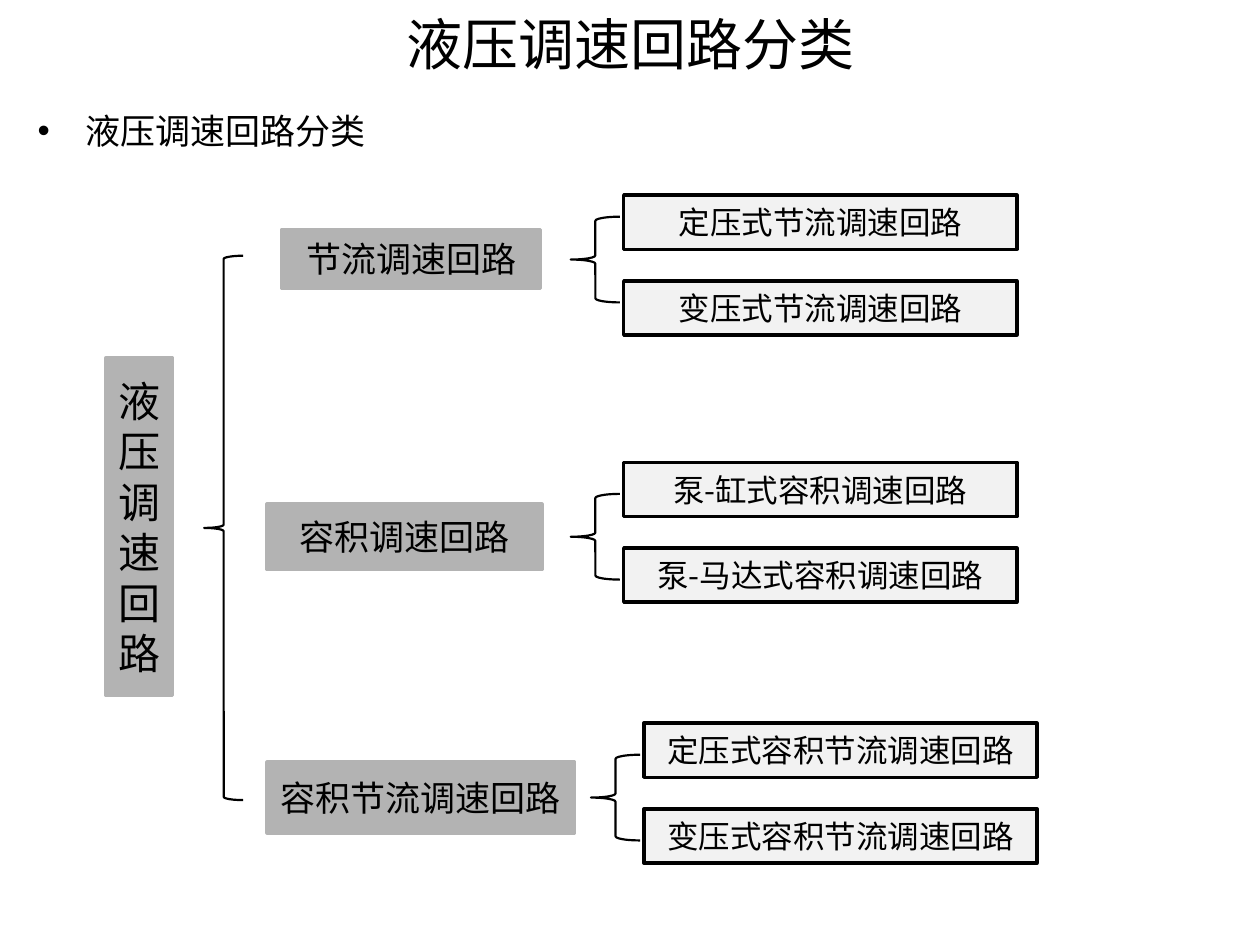
from lxml.etree import SubElement
from pptx import Presentation
from pptx.dml.color import RGBColor
from pptx.enum.shapes import MSO_SHAPE
from pptx.enum.text import MSO_ANCHOR, MSO_AUTO_SIZE, PP_ALIGN
from pptx.oxml.ns import qn
from pptx.util import Inches, Pt

FONT = "Noto Sans CJK SC"
COLORS = {"text": "000000", "group": "B3B3B3", "leaf": "F2F2F2", "line": "000000"}
LEAF_WIDTH, LEAF_HEIGHT, LEAF_PITCH = 3.12, 0.43, 0.68
BRACE_WIDTH, BRACE_OFFSET = 0.39, 0.42
BRANCHES = [
    ("节流调速回路", (2.24, 1.82, 2.05, 0.47), (4.95, 1.55), 1.72,
     ("定压式节流调速回路", "变压式节流调速回路")),
    ("容积调速回路", (2.12, 4, 2.18, 0.52), (4.95, 3.67), 3.92,
     ("泵-缸式容积调速回路", "泵-马达式容积调速回路")),
    ("容积节流调速回路", (2.12, 6.05, 2.44, 0.56), (5.11, 5.74), 5.99,
     ("定压式容积节流调速回路", "变压式容积节流调速回路")),
]


def color(name):
    """Return the named colour."""
    return RGBColor.from_string(COLORS[name])


def write_text(shape, text, size, alignment=PP_ALIGN.CENTER):
    """Write one styled paragraph into a shape and return it."""
    paragraph = shape.text_frame.paragraphs[0]
    paragraph.text = text
    paragraph.alignment = alignment
    paragraph.font.size = Pt(size)
    paragraph.font.name = FONT
    paragraph.font.color.rgb = color("text")
    default_properties = paragraph._p.pPr.find(qn("a:defRPr"))
    SubElement(default_properties, qn("a:ea"), typeface=FONT)
    return paragraph


def add_title(slide, text):
    """Add the centred slide title."""
    shape = slide.shapes.add_textbox(Inches(1.46), 0, Inches(7.09), Inches(0.68))
    shape.text_frame.word_wrap = True
    shape.text_frame.vertical_anchor = MSO_ANCHOR.MIDDLE
    write_text(shape, text, 32)


def add_bullet(slide, text):
    """Add the bulleted heading."""
    shape = slide.shapes.add_textbox(Inches(0.2), Inches(0.82), Inches(2.82), Inches(0.44))
    shape.text_frame.word_wrap = False
    shape.text_frame.auto_size = MSO_AUTO_SIZE.SHAPE_TO_FIT_TEXT
    properties = shape.text_frame.paragraphs[0]._p.get_or_add_pPr()
    properties.set("marL", str(Inches(0.38)))
    properties.set("indent", str(-Inches(0.38)))
    SubElement(properties, qn("a:buFont"), typeface="Arial")
    SubElement(properties, qn("a:buChar"), char="•")
    write_text(shape, text, 20, PP_ALIGN.LEFT)


def add_box(slide, text, bounds, size, fill, line):
    """Add a filled rectangle with a centred label."""
    shape = slide.shapes.add_shape(MSO_SHAPE.RECTANGLE, *map(Inches, bounds))
    shape.shadow.inherit = False
    shape.fill.solid()
    shape.fill.fore_color.rgb = color(fill)
    shape.line.color.rgb = color(line)
    shape.line.width = Pt(2)
    frame = shape.text_frame
    frame.word_wrap = True
    frame.vertical_anchor = MSO_ANCHOR.MIDDLE
    frame.margin_left = frame.margin_right = Inches(0.05)
    write_text(shape, text, size)


def add_brace(slide, bounds):
    """Add an unfilled left brace."""
    shape = slide.shapes.add_shape(MSO_SHAPE.LEFT_BRACE, *map(Inches, bounds))
    shape.shadow.inherit = False
    shape.fill.background()
    shape.line.color.rgb = color("line")
    shape.line.width = Pt(1.25)


def add_branch(slide, label, bounds, leaf_start, brace_top, leaves):
    """Add a category, its brace and its stacked leaves."""
    add_box(slide, label, bounds, 20, "group", "group")
    left, top = leaf_start
    add_brace(slide, (left - BRACE_OFFSET, brace_top, BRACE_WIDTH, LEAF_PITCH))
    for index, leaf in enumerate(leaves):
        leaf_bounds = (left, top + index * LEAF_PITCH, LEAF_WIDTH, LEAF_HEIGHT)
        add_box(slide, leaf, leaf_bounds, 18, "leaf", "line")


def main():
    """Build and save the classification slide."""
    presentation = Presentation()
    presentation.slide_width, presentation.slide_height = Inches(10), Inches(7.5)
    slide = presentation.slides.add_slide(presentation.slide_layouts[6])
    add_title(slide, "液压调速回路分类")
    add_bullet(slide, "液压调速回路分类")
    add_box(slide, "液压调速回路", (0.84, 2.84, 0.53, 2.68), 24, "group", "group")
    add_brace(slide, (1.62, 2.03, 0.31, 4.32))
    for branch in BRANCHES:
        add_branch(slide, *branch)
    presentation.save("out.pptx")


if __name__ == "__main__":
    main()
